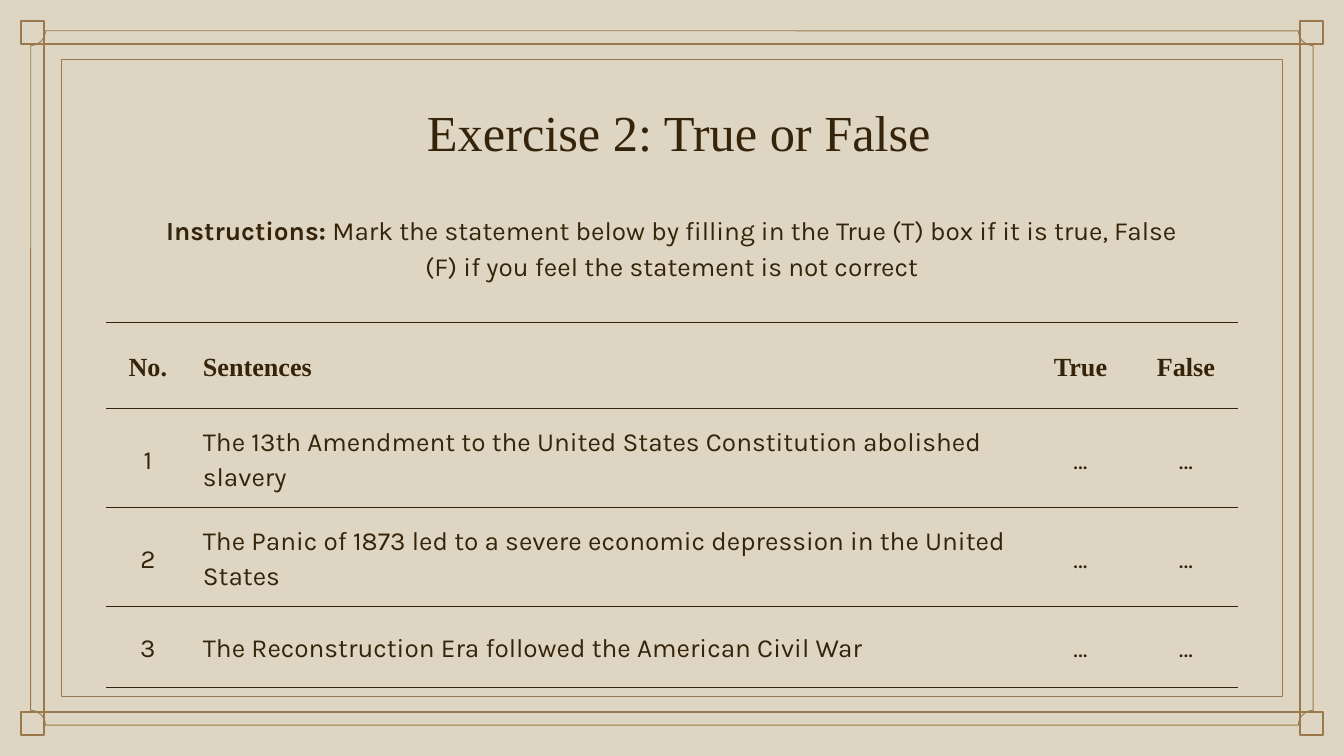
from dataclasses import dataclass
from lxml import etree
from pptx import Presentation
from pptx.dml.color import RGBColor
from pptx.enum import shapes, text
from pptx.oxml import ns
from pptx.util import Pt


@dataclass(frozen=True)
class Theme:
    paper: str = "DED6C2"
    ink: str = "35240A"
    gold: str = "9B794E"
    serif: str = "Times New Roman"
    sans: str = "Karla"
    head: float = 27
    body: float = 14
    thick: float = 1.28
    thin: float = 0.5
    rule: float = 0.75


T = Theme()
WIDE, HIGH = 720, 405
PAD = 7.2
MID, LEFT = text.PP_ALIGN.CENTER, text.PP_ALIGN.LEFT

COLS = [44.64, 448.56, 57.6, 55.44]
ROWS = [46.08, 43.2, 43.2, 43.2]
HEADS = ["No.", "Sentences", "True", "False"]
FACTS = [
    "The 13th Amendment to the United States Constitution abolished slavery",
    "The Panic of 1873 led to a severe economic depression in the United States",
    "The Reconstruction Era followed the American Civil War",
]


def write(frame, words, bold=False, font=T.sans, size=T.body, align=MID,
          space=None, after=None):
    para = frame.paragraphs[0]
    para.alignment = align
    if space:
        para.line_spacing = space
    if after:
        para.space_after = Pt(after)
    run = para.add_run()
    run.text = words
    run.font.name = font
    run.font.size = Pt(size)
    run.font.bold = bold
    run.font.color.rgb = RGBColor.from_string(T.ink)


def add_box(slide, left, top, width, height):
    box = slide.shapes.add_textbox(Pt(left), Pt(top), Pt(width), Pt(height))
    frame = box.text_frame
    frame.word_wrap = True
    frame.margin_top = frame.margin_bottom = Pt(PAD)
    frame.margin_left = frame.margin_right = Pt(PAD)
    return frame


def outline(slide, left, top, width, height, weight,
            kind=shapes.MSO_SHAPE.RECTANGLE):
    shape = slide.shapes.add_shape(kind, Pt(left), Pt(top), Pt(width), Pt(height))
    shape.shadow.inherit = False
    shape.fill.background()
    shape.line.color.rgb = RGBColor.from_string(T.gold)
    shape.line.width = Pt(weight)
    return shape


def inset(slide, across, down, *style):
    return outline(slide, across, down, WIDE - 2 * across, HIGH - 2 * down, *style)


def add_frame(slide):
    edge, side = 11.25, 12.25
    inner = edge + side
    for left in (edge, WIDE - inner):
        for top in (edge, HIGH - inner):
            outline(slide, left, top, side, side, T.thick)
    inset(slide, inner, inner, T.thick)
    inset(slide, 33, 31.8, T.thin)
    gap, notch = 16.5, 7.9
    plaque = inset(slide, gap, gap, T.thin, shapes.MSO_SHAPE.PLAQUE)
    plaque.adjustments[0] = notch / (HIGH - 2 * gap)


def set_rules(cell):
    props = cell._tc.get_or_add_tcPr()
    for spot, side in enumerate("LRTB"):
        line = etree.Element(ns.qn("a:ln" + side), w=str(Pt(T.rule)))
        if side in "TB":
            fill = etree.SubElement(line, ns.qn("a:solidFill"))
            etree.SubElement(fill, ns.qn("a:srgbClr"), val=T.ink)
        else:
            etree.SubElement(line, ns.qn("a:noFill"))
        props.insert(spot, line)


def fill_cell(cell, words, **style):
    cell.fill.background()
    set_rules(cell)
    cell.vertical_anchor = text.MSO_ANCHOR.MIDDLE
    cell.margin_top = cell.margin_bottom = Pt(PAD)
    cell.margin_left = cell.margin_right = Pt(PAD)
    write(cell.text_frame, words, space=1.15, after=16, **style)


def add_quiz(slide):
    rows = [HEADS] + [[str(n), fact, "…", "…"] for n, fact in enumerate(FACTS, 1)]
    table = slide.shapes.add_table(len(rows), len(COLS), Pt(56.88), Pt(172.8),
                                   Pt(sum(COLS)), Pt(sum(ROWS))).table
    table.first_row = table.horz_banding = False
    for col, width in zip(table.columns, COLS):
        col.width = Pt(width)
    for r, words in enumerate(rows):
        table.rows[r].height = Pt(ROWS[r])
        for c, word in enumerate(words):
            fill_cell(table.cell(r, c), word, bold=r == 0,
                      font=T.sans if r else T.serif,
                      align=LEFT if c == 1 else MID)


def main():
    deck = Presentation()
    deck.slide_width, deck.slide_height = Pt(WIDE), Pt(HIGH)
    slide = deck.slides.add_slide(deck.slide_layouts[6])
    back = slide.background.fill
    back.solid()
    back.fore_color.rgb = RGBColor.from_string(T.paper)

    add_frame(slide)
    title = add_box(slide, 56.88, 46.8, 606.96, 45.36)
    write(title, " Exercise 2: True or False", font=T.serif, size=T.head)
    add_quiz(slide)
    guide = add_box(slide, 75.6, 105.12, 568.8, 51.12)
    guide.auto_size = text.MSO_AUTO_SIZE.SHAPE_TO_FIT_TEXT
    write(guide, "Instructions:", bold=True, space=1.15)
    write(guide, " Mark the statement below by filling in the True (T) box if it is "
          "true, False (F) if you feel the statement is not correct", space=1.15)
    deck.save("out.pptx")


if __name__ == "__main__":
    main()
